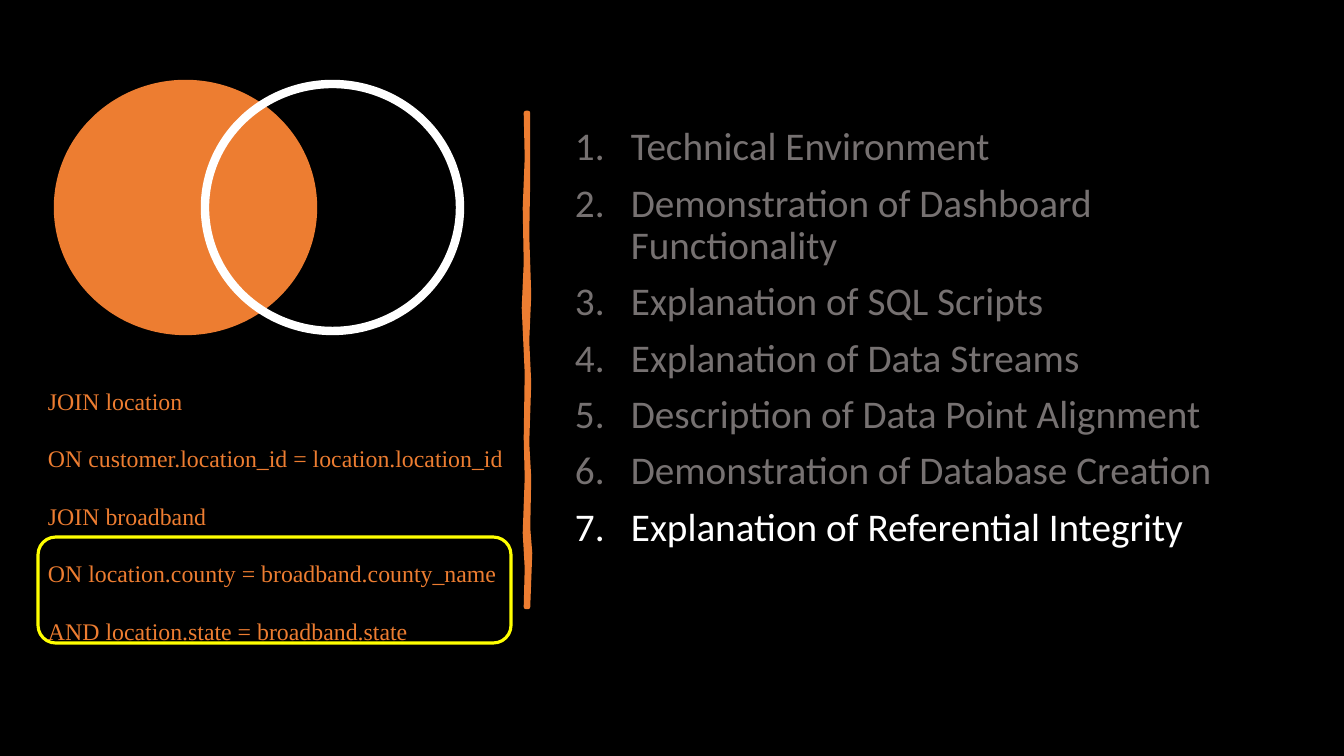
import lxml.etree
import pptx
import pptx.dml.color
import pptx.enum.shapes
import pptx.enum.text
import pptx.oxml.ns
import pptx.util

EMU_PER_PX = 914400 / 100.8
ORANGE, WHITE, GREY, YELLOW, BLACK = "ED7D31", "FFFFFF", "767171", "FFFF00", "000000"
AGENDA = [
    "Technical Environment",
    "Demonstration of Dashboard Functionality",
    "Explanation of SQL Scripts",
    "Explanation of Data Streams",
    "Description of Data Point Alignment",
    "Demonstration of Database Creation",
    "Explanation of Referential Integrity",
]
CURRENT_TOPIC = AGENDA[-1]
QUERY = [
    "JOIN location",
    "ON customer.location_id = location.location_id",
    "JOIN broadband",
    "ON location.county = broadband.county_name AND location.state = broadband.state",
]
BRUSH_RIGHT = [(2, 0), (2, 65), (1, 122), (3, 182), (1, 228), (3, 270),
               (1, 330), (3, 365), (2, 415), (4, 440), (2, 494)]
BRUSH_LEFT = [(0, 494), (1, 455), (-1, 420), (1, 365), (0, 325), (1, 260),
              (-2, 195), (0, 150), (-1, 95), (1, 45), (0, 0)]


def px(length):
    return pptx.util.Emu(round(length * EMU_PER_PX))


def color(value):
    return pptx.dml.color.RGBColor.from_string(value)


def paint(shape, fill, line, width):
    shape.shadow.inherit = False
    if fill:
        shape.fill.solid()
        shape.fill.fore_color.rgb = color(fill)
    else:
        shape.fill.background()
    shape.line.color.rgb = color(line)
    shape.line.width = pptx.util.Pt(width)


def add_text(slide, box, lines):
    frame = slide.shapes.add_textbox(*map(px, box)).text_frame
    frame.word_wrap = True
    frame.text = "\n".join(lines)
    return frame


def style(paragraph, font, size, value):
    for run in paragraph.runs:
        run.font.name = font
        run.font.size = pptx.util.Pt(size)
        run.font.color.rgb = color(value)


def add_divider(slide, left, top):
    outline = [(px(left + x), px(top + y)) for x, y in BRUSH_RIGHT + BRUSH_LEFT]
    builder = slide.shapes.build_freeform(*outline[0])
    builder.add_line_segments(outline[1:], close=True)
    paint(builder.convert_to_shape(), ORANGE, ORANGE, 3.25)


def add_agenda(slide, box):
    frame = add_text(slide, box, AGENDA)
    frame.margin_top = px(14)
    for index, topic in enumerate(frame.paragraphs):
        topic.line_spacing = 0.9
        topic.space_before = pptx.util.Pt(10 if index else 0)
        style(topic, "Calibri", 28, WHITE if topic.text == CURRENT_TOPIC else GREY)
        properties = topic._p.get_or_add_pPr()
        properties.set("marL", str(px(56)))
        properties.set("indent", str(-px(56)))
        lxml.etree.SubElement(properties, pptx.oxml.ns.qn("a:buFont"), typeface="+mj-lt")
        lxml.etree.SubElement(properties, pptx.oxml.ns.qn("a:buAutoNum"), type="arabicPeriod")


def add_join_diagram(slide, box):
    left, top, width, height = box
    diameter = 255
    for offset, fill, line in ((0, ORANGE, ORANGE), (width - diameter, None, WHITE)):
        circle = slide.shapes.add_shape(
            pptx.enum.shapes.MSO_SHAPE.OVAL,
            px(left + offset), px(top), px(diameter), px(height))
        paint(circle, fill, line, 6)


def add_query(slide, box):
    left, top, width, height = box
    frame = add_text(slide, box, QUERY)
    for clause in frame.paragraphs:
        clause.line_spacing = pptx.util.Pt(41)
        style(clause, "Times New Roman", 17, ORANGE)
    highlight_height = 106
    highlight = slide.shapes.add_shape(
        pptx.enum.shapes.MSO_SHAPE.ROUNDED_RECTANGLE,
        px(left), px(top + height - highlight_height), px(width - 15), px(highlight_height))
    paint(highlight, None, YELLOW, 2.25)


def main():
    deck = pptx.Presentation()
    deck.slide_width, deck.slide_height = px(1344), px(756)
    slide = deck.slides.add_slide(deck.slide_layouts[6])
    slide.background.fill.solid()
    slide.background.fill.fore_color.rgb = color(BLACK)
    add_divider(slide, 526, 113)
    add_agenda(slide, (565, 113, 687, 546))
    add_join_diagram(slide, (58, 84, 402, 247))
    add_query(slide, (38, 353, 488, 290))
    deck.save("out.pptx")


if __name__ == "__main__":
    main()
